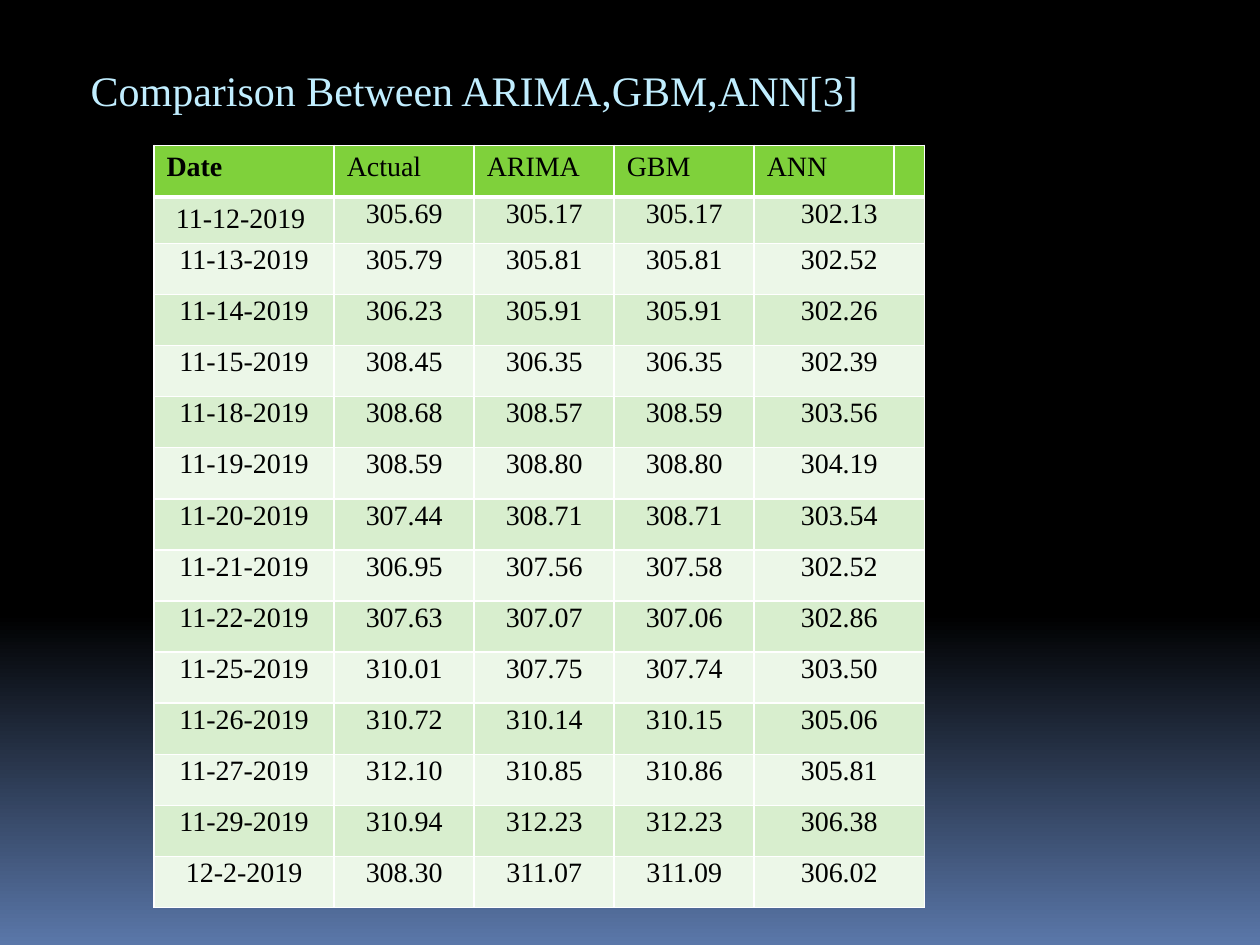
from lxml import etree
from pptx import Presentation
from pptx.dml.color import RGBColor
from pptx.enum.text import MSO_ANCHOR, PP_ALIGN
from pptx.oxml.ns import qn
from pptx.util import Pt

LEFT, CENTER = PP_ALIGN.LEFT, PP_ALIGN.CENTER
MIDDLE = MSO_ANCHOR.MIDDLE
FONT = "Times New Roman"
COLORS = {"black": "000000", "blue": "5A77A9", "title": "C1EEFF", "header": "7FD13B",
          "odd": "D8EECE", "even": "ECF7E8", "border": "FFFFFF"}
WIDE = {"margin_left": Pt(7.2), "margin_top": Pt(3.6),
        "margin_right": Pt(7.2), "margin_bottom": Pt(3.6)}
TIGHT = {"margin_left": Pt(0.7), "margin_top": Pt(0.7),
         "margin_right": Pt(0.7), "margin_bottom": 0}
COL_WIDTHS = [103, 80, 80, 80, 80, 16.5]
HEADER_HEIGHT, FIRST_HEIGHT, ROW_HEIGHT = 29.5, 26.6, 29.2
HEADINGS = ["Date", "Actual", "ARIMA", "GBM", "ANN", ""]
PRICES = [
    ["11-12-2019 ", "305.69", "305.17", "305.17", "302.13"],
    ["11-13-2019", "305.79", "305.81", "305.81", "302.52"],
    ["11-14-2019", "306.23", "305.91", "305.91", "302.26"],
    ["11-15-2019", "308.45", "306.35", "306.35", "302.39"],
    ["11-18-2019", "308.68", "308.57", "308.59", "303.56"],
    ["11-19-2019", "308.59", "308.80", "308.80", "304.19"],
    ["11-20-2019", "307.44", "308.71", "308.71", "303.54"],
    ["11-21-2019", "306.95", "307.56", "307.58", "302.52"],
    ["11-22-2019", "307.63", "307.07", "307.06", "302.86"],
    ["11-25-2019", "310.01", "307.75", "307.74", "303.50"],
    ["11-26-2019", "310.72", "310.14", "310.15", "305.06"],
    ["11-27-2019", "312.10", "310.85", "310.86", "305.81"],
    ["11-29-2019", "310.94", "312.23", "312.23", "306.38"],
    ["12-2-2019", "308.30", "311.07", "311.09", "306.02"],
]


def rgb(name):
    """Return the named colour."""
    return RGBColor.from_string(COLORS[name])


def set_attrs(obj, values):
    """Set each attribute in a dict of format values."""
    for name, value in values.items():
        setattr(obj, name, value)


def write(p, text, size, color, align=LEFT, bold=False):
    """Put one formatted run into a paragraph."""
    p.alignment = align
    r = p.add_run()
    r.text = text
    set_attrs(r.font, {"name": FONT, "size": Pt(size), "bold": bold})
    r.font.color.rgb = rgb(color)


def set_borders(cell, widths):
    """Give a cell solid borders from a dict of side to width."""
    tc_pr = cell._tc.get_or_add_tcPr()
    for i, (side, width) in enumerate(widths.items()):
        ln = etree.Element(qn(f"a:ln{side}"), w=str(Pt(width)))
        fill = etree.SubElement(ln, qn("a:solidFill"))
        etree.SubElement(fill, qn("a:srgbClr"), val=COLORS["border"])
        tc_pr.insert(i, ln)


def format_cell(cell, text, row, col):
    """Fill, border and write one table cell."""
    header = row == 0
    set_attrs(cell, WIDE if header or (row, col) == (1, 0) else TIGHT)
    cell.fill.solid()
    cell.fill.fore_color.rgb = rgb("header" if header else "odd" if row % 2 else "even")
    set_borders(cell, {"L": 1, "R": 1, "T": 3 if row == 1 else 1, "B": 3 if header else 1})
    if text:
        write(cell.text_frame.paragraphs[0], text, 16, "black",
              LEFT if header else CENTER, header and col == 0)


def set_background(s):
    """Fade the slide from black down to blue."""
    fill = s.background.fill
    fill.gradient()
    fill.gradient_angle = 270
    for stop, (position, color) in zip(fill.gradient_stops, [(0.65, "black"), (1, "blue")]):
        stop.position = position
        stop.color.rgb = rgb(color)


def add_title(s, left, top, width, height):
    """Place the title in its box."""
    sp = s.shapes.title
    set_attrs(sp, {"left": Pt(left), "top": Pt(top), "width": Pt(width), "height": Pt(height)})
    tf = sp.text_frame
    set_attrs(tf, {**WIDE, "word_wrap": True, "vertical_anchor": MIDDLE})
    write(tf.paragraphs[0], "Comparison Between ARIMA,GBM,ANN[3]", 24, "title")


def add_price_table(s, left, top):
    """Place the price table, the ANN values spanning the last two columns."""
    heights = [HEADER_HEIGHT, FIRST_HEIGHT] + [ROW_HEIGHT] * (len(PRICES) - 1)
    table = s.shapes.add_table(len(heights), len(COL_WIDTHS), Pt(left), Pt(top),
                               Pt(sum(COL_WIDTHS)), Pt(sum(heights))).table
    for column, width in zip(table.columns, COL_WIDTHS):
        column.width = Pt(width)
    for i, values in enumerate([HEADINGS] + [row + [""] for row in PRICES]):
        table.rows[i].height = Pt(heights[i])
        for j, text in enumerate(values):
            format_cell(table.cell(i, j), text, i, j)
        if i:
            table.cell(i, 4).merge(table.cell(i, 5))


def main():
    """Build and save the slide."""
    prs = Presentation()
    set_attrs(prs, {"slide_width": Pt(720), "slide_height": Pt(540)})
    s = prs.slides.add_slide(prs.slide_layouts[5])
    set_background(s)
    add_title(s, 44.6, 31.7, 612, 39.6)
    add_price_table(s, 88, 83)
    prs.save("out.pptx")


if __name__ == "__main__":
    main()
